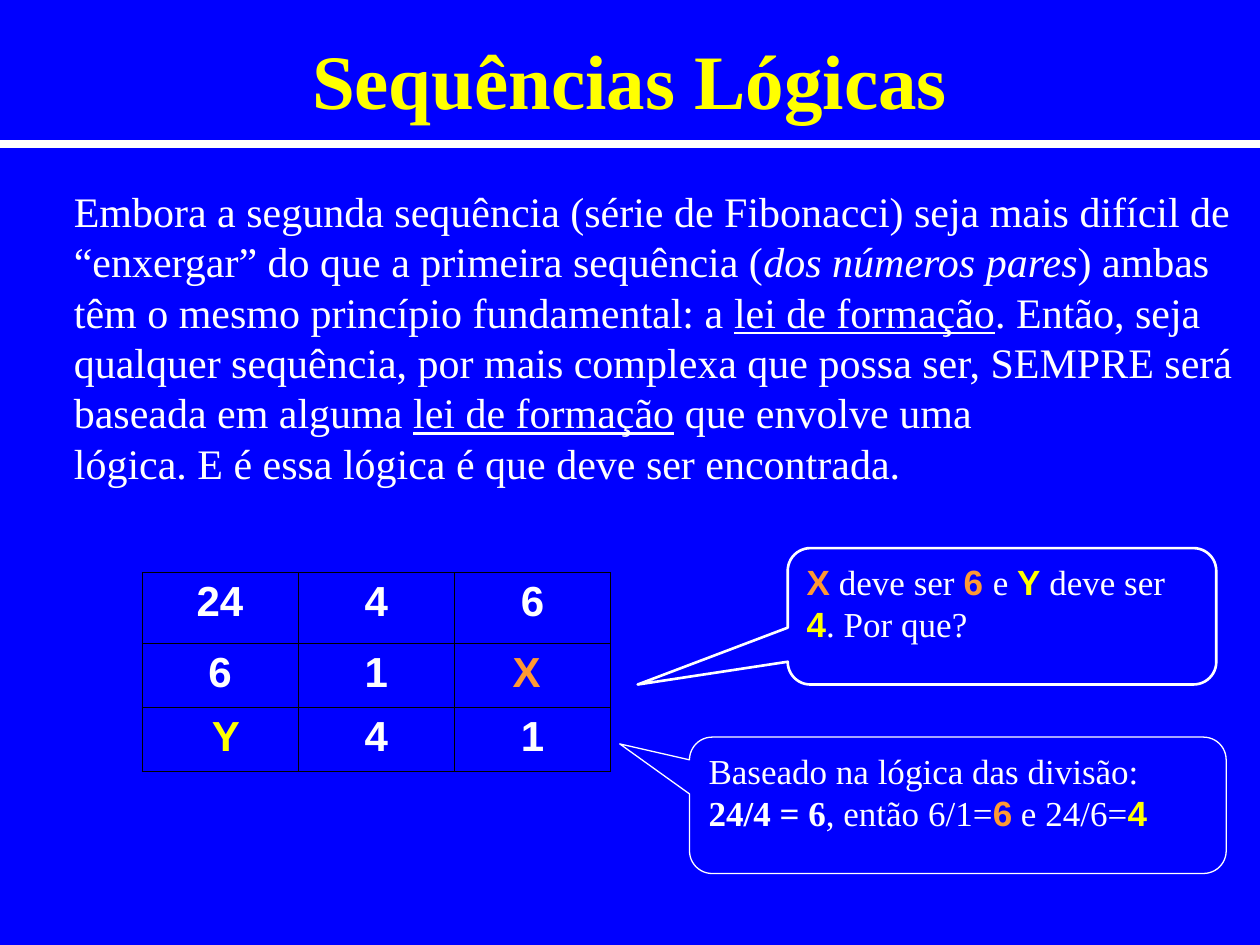
from dataclasses import dataclass

from lxml import etree
from pptx import Presentation
from pptx.dml.color import RGBColor
from pptx.enum.shapes import MSO_CONNECTOR, MSO_SHAPE
from pptx.enum.text import MSO_ANCHOR, MSO_AUTO_SIZE, PP_ALIGN
from pptx.oxml.ns import qn
from pptx.slide import Slide
from pptx.text.text import TextFrame
from pptx.util import Cm, Pt

ROUND_CALLOUT = MSO_SHAPE.ROUNDED_RECTANGULAR_CALLOUT
STRAIGHT = MSO_CONNECTOR.STRAIGHT
TOP, MIDDLE = MSO_ANCHOR.TOP, MSO_ANCHOR.MIDDLE
FIT_SHAPE = MSO_AUTO_SIZE.SHAPE_TO_FIT_TEXT
LEFT, CENTER = PP_ALIGN.LEFT, PP_ALIGN.CENTER

COLORS = {
    "blue": "0000FF",
    "white": "FFFFFF",
    "yellow": "FFFF00",
    "orange": "FF9933",
    "black": "000000",
}
SERIF = "Times New Roman"
SANS = "Arial"


@dataclass
class Span:
    text: str
    color: str = "white"
    font: str = SERIF
    bold: bool = False
    italic: bool = False
    underline: bool = False


@dataclass
class Callout:
    left: float
    top: float
    width: float
    height: float
    pointer: tuple[float, float]
    line_width: float
    spans: list[Span]


def strong(text: str, color: str = "white") -> Span:
    return Span(text, color, SANS, bold=True)


LAW = Span("lei de formação", underline=True)
BODY = [
    [Span("Embora a segunda sequência (série de Fibonacci) seja mais difícil de")],
    [
        Span("“enxergar” do que a primeira sequência ("),
        Span("dos números pares", italic=True),
        Span(") ambas"),
    ],
    [Span("têm o mesmo princípio fundamental: a "), LAW, Span(". Então, seja")],
    [Span("qualquer sequência, por mais complexa que possa ser, SEMPRE será")],
    [Span("baseada em alguma "), LAW, Span(" que envolve uma")],
    [Span("lógica. E é essa lógica é que deve ser encontrada.")],
]
GRID = [
    [[strong("24")], [strong("4")], [strong("6")]],
    [[strong("6")], [strong("1")], [strong("X ", "orange")]],
    [[strong(" "), strong("Y", "yellow")], [strong("4")], [strong("1")]],
]
ROW_HEIGHTS = [1.42, 1.29, 1.29]
COLUMN_WIDTH = 3.15
CALLOUTS = [
    Callout(15.88, 11.05, 8.64, 2.75, (-0.85, 0.5), 1.5, [
        strong("X", "orange"),
        Span(" deve ser "),
        strong("6 ", "orange"),
        Span("e "),
        strong("Y", "yellow"),
        Span(" deve ser "),
        strong("4", "yellow"),
        Span(". Por que?"),
    ]),
    Callout(13.9, 14.86, 10.82, 2.75, (-0.63, -0.45), 0.75, [
        Span("Baseado na lógica das divisão: "),
        Span("24/4 = 6", bold=True),
        Span(", então 6/1="),
        strong("6", "orange"),
        Span(" e 24/6="),
        strong("4", "yellow"),
    ]),
]


def rgb(name: str) -> RGBColor:
    return RGBColor.from_string(COLORS[name])


def write(frame: TextFrame, lines: list[list[Span]], size: float,
          align: PP_ALIGN = LEFT) -> None:
    for index, spans in enumerate(lines):
        para = frame.add_paragraph() if index else frame.paragraphs[0]
        para.alignment = align
        for span in spans:
            run = para.add_run()
            run.text = span.text
            values = {
                "name": span.font,
                "size": Pt(size),
                "bold": span.bold,
                "italic": span.italic,
                "underline": span.underline,
            }
            for key, value in values.items():
                setattr(run.font, key, value)
            run.font.color.rgb = rgb(span.color)


def add_title(page: Slide) -> None:
    box = page.shapes.add_textbox(Cm(1.9), Cm(0.36), Cm(21.6), Cm(2.46))
    box.text_frame.word_wrap = True
    box.text_frame.vertical_anchor = MIDDLE
    title = Span("Sequências Lógicas", "yellow", bold=True)
    write(box.text_frame, [[title]], 44, CENTER)


def add_rule(page: Slide) -> None:
    rule = page.shapes.add_connector(STRAIGHT, Cm(0), Cm(2.9), Cm(25.4), Cm(2.9))
    rule.line.color.rgb = rgb("white")
    rule.line.width = Pt(4.5)
    etree.SubElement(rule.element.spPr, qn("a:effectLst"))


def add_body(page: Slide) -> None:
    box = page.shapes.add_textbox(Cm(1.24), Cm(3.61), Cm(23.9), Cm(6.35))
    box.text_frame.word_wrap = False
    box.text_frame.auto_size = FIT_SHAPE
    write(box.text_frame, BODY, 24)


def add_grid(page: Slide) -> None:
    columns = len(GRID[0])
    table = page.shapes.add_table(
        len(GRID), columns, Cm(2.86), Cm(11.54),
        Cm(COLUMN_WIDTH * columns), Cm(sum(ROW_HEIGHTS))).table
    for column in table.columns:
        column.width = Cm(COLUMN_WIDTH)
    for row, height, contents in zip(table.rows, ROW_HEIGHTS, GRID):
        row.height = Cm(height)
        for cell, spans in zip(row.cells, contents):
            cell.fill.background()
            write(cell.text_frame, [spans], 24, CENTER)
            properties = cell._tc.get_or_add_tcPr()
            for index, side in enumerate(("lnL", "lnR", "lnT", "lnB")):
                border = etree.Element(qn(f"a:{side}"), w=str(Pt(0.45)))
                fill = etree.SubElement(border, qn("a:solidFill"))
                etree.SubElement(fill, qn("a:srgbClr"), val=COLORS["black"])
                properties.insert(index, border)


def add_callout(page: Slide, callout: Callout) -> None:
    shape = page.shapes.add_shape(
        ROUND_CALLOUT, Cm(callout.left), Cm(callout.top),
        Cm(callout.width), Cm(callout.height))
    shape.shadow.inherit = False
    shape.fill.background()
    shape.line.color.rgb = rgb("white")
    shape.line.width = Pt(callout.line_width)
    for index, offset in enumerate(callout.pointer):
        shape.adjustments[index] = offset
    shape.text_frame.word_wrap = True
    shape.text_frame.vertical_anchor = TOP
    write(shape.text_frame, [callout.spans], 20)


def main() -> None:
    deck = Presentation()
    deck.slide_width, deck.slide_height = Cm(25.4), Cm(19.05)
    page = deck.slides.add_slide(deck.slide_layouts[6])
    page.background.fill.solid()
    page.background.fill.fore_color.rgb = rgb("blue")
    add_title(page)
    add_rule(page)
    add_body(page)
    add_grid(page)
    for callout in CALLOUTS:
        add_callout(page, callout)
    deck.save("out.pptx")


if __name__ == "__main__":
    main()
